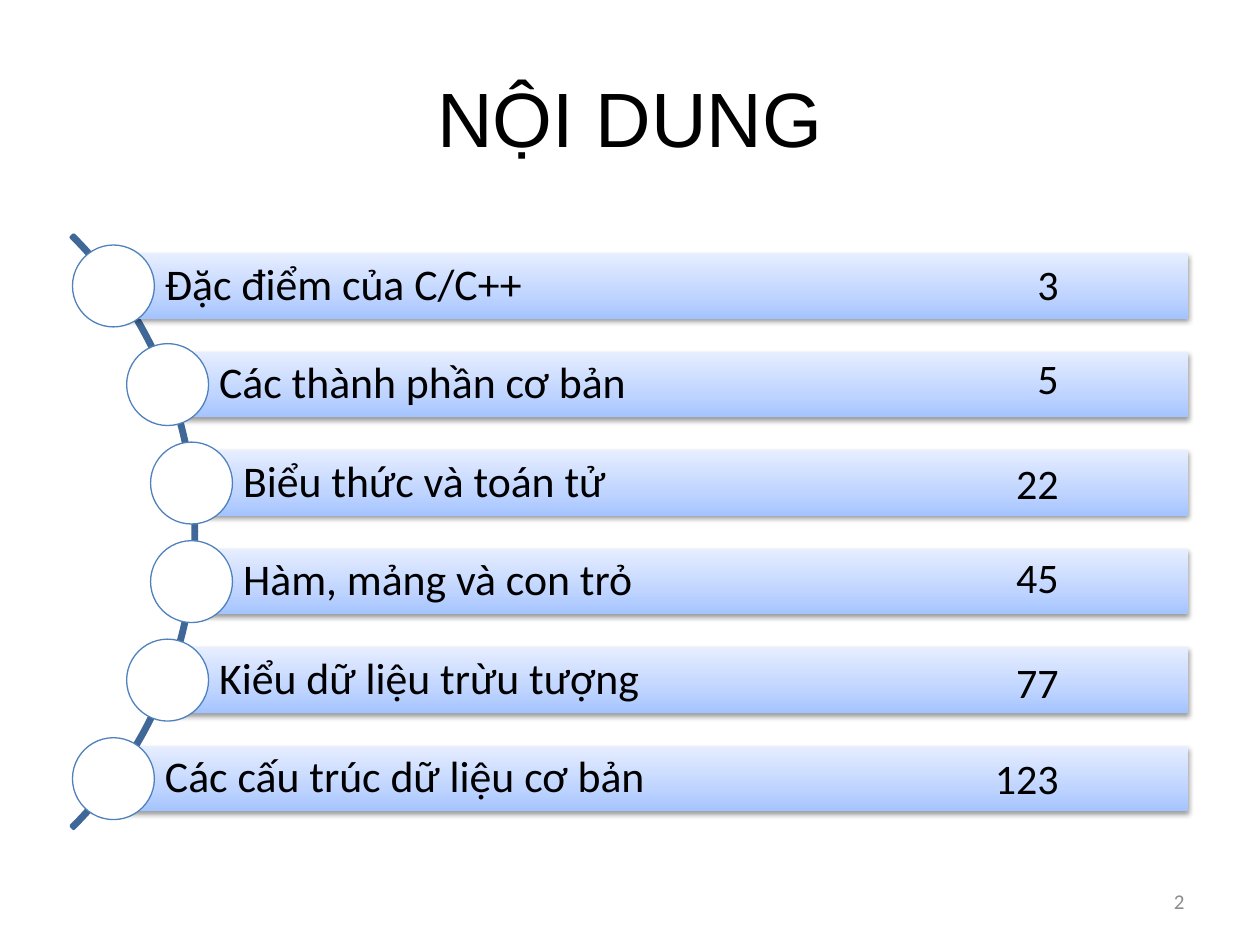
from lxml import etree
from pptx import Presentation
from pptx.dml.color import RGBColor
from pptx.enum import shapes, text
from pptx.oxml import ns, parse_xml
from pptx.util import Inches, Pt

BLACK = RGBColor(0, 0, 0)
WHITE = RGBColor(255, 255, 255)
GREY = RGBColor(0x8C, 0x8C, 0x8C)
BLUE = RGBColor(0x4F, 0x81, 0xBD)
NAVY = RGBColor(0x3F, 0x67, 0x97)
SHADE = [(0, RGBColor(0xA4, 0xC4, 0xFF)), (35, RGBColor(0xBF, 0xD4, 0xFF)),
         (100, RGBColor(0xE6, 0xEE, 0xFF))]

SHAPE = shapes.MSO_SHAPE
LEFT, MID, RIGHT = text.PP_ALIGN.LEFT, text.PP_ALIGN.CENTER, text.PP_ALIGN.RIGHT

# Topic, page, left edge of the bar, top of the page number
TOPICS = [
    ("Đặc điểm của C/C++", "3", 0.9, 2),
    ("Các thành phần cơ bản", "5", 1.33, 2.75),
    ("Biểu thức và toán tử", "22", 1.52, 3.58),
    ("Hàm, mảng và con trỏ", "45", 1.52, 4.33),
    ("Kiểu dữ liệu trừu tượng", "77", 1.33, 5.16),
    ("Các cấu trúc dữ liệu cơ bản", "123", 0.9, 5.92),
]


def write(shape, words, size, align, color=BLACK, font="Calibri"):
    frame = shape.text_frame
    frame.text = words
    frame.word_wrap = True
    para = frame.paragraphs[0]
    para.alignment = align
    style = {"size": Pt(size), "name": font}
    for key, value in style.items():
        setattr(para.runs[0].font, key, value)
    para.runs[0].font.color.rgb = color
    return frame


def draw(slide, kind, x, y, w, h):
    shape = slide.shapes.add_shape(kind, *map(Inches, (x, y, w, h)))
    shape.shadow.inherit = False
    return shape


def label(slide, box, words, size, color=BLACK):
    shape = slide.shapes.add_textbox(*map(Inches, box))
    return write(shape, words, size, RIGHT, color)


def shade(bar):
    """Give the bar its three-stop gradient and soft drop shadow."""
    bar.fill.gradient()
    bar.fill.gradient_angle = 90
    props = bar.fill._xPr
    stops = props.find(".//" + ns.qn("a:gsLst"))
    for stop in list(stops):
        stops.remove(stop)
    for pos, color in SHADE:
        stop = etree.SubElement(stops, ns.qn("a:gs"), pos=str(pos * 1000))
        etree.SubElement(stop, ns.qn("a:srgbClr"), val=str(color))
    effect = props.find(ns.qn("a:effectLst"))
    effect.append(parse_xml(
        f'<a:outerShdw {ns.nsdecls("a")} blurRad="{Pt(3.1)}" dist="{Pt(1.6)}" '
        'dir="5400000" rotWithShape="0"><a:srgbClr val="000000">'
        '<a:alpha val="38000"/></a:srgbClr></a:outerShdw>'))


def title(slide, x, y, w, h):
    shape = slide.shapes.title
    place = {"left": x, "top": y, "width": w, "height": h}
    for key, value in place.items():
        setattr(shape, key, Inches(value))
    frame = write(shape, "NỘI DUNG", 44, MID, font="Arial")
    frame.vertical_anchor = text.MSO_ANCHOR.MIDDLE


def curve(slide, x, y, size):
    arc = draw(slide, SHAPE.BLOCK_ARC, x, y, size, size)
    for i, value in enumerate((189, 27, 0.004)):
        arc.adjustments[i] = value
    arc.fill.background()
    arc.line.color.rgb = NAVY
    arc.line.width = Pt(2)


def row(slide, words, x, y, w, h):
    """Draw one bar with its topic and a circle over its left end."""
    bar = draw(slide, SHAPE.RECTANGLE, x, y, w, h)
    shade(bar)
    bar.line.fill.background()
    frame = write(bar, words, 25, LEFT)
    frame.paragraphs[0].line_spacing = 0.9
    frame.vertical_anchor = text.MSO_ANCHOR.MIDDLE
    pads = {"left": 0.41, "top": 0.07, "right": 0.07, "bottom": 0.07}
    for side, pad in pads.items():
        setattr(frame, "margin_" + side, Inches(pad))

    size = h * 1.25
    dot = draw(slide, SHAPE.OVAL, x - size / 2, y + (h - size) / 2, size, size)
    dot.fill.solid()
    dot.fill.fore_color.rgb = WHITE
    dot.line.color.rgb = BLUE
    dot.line.width = Pt(0.75)


def agenda(slide, y, right, h, bar):
    """Spread the topics evenly over the height h, then add their pages."""
    step = (h - bar) / (len(TOPICS) - 1)
    for i, (words, _, x, _) in enumerate(TOPICS):
        row(slide, words, x, y + i * step, right - x, bar)
    for _, page, _, top in TOPICS:
        frame = label(slide, (right - 1.85, top, 0.92, 0.5), page, 24)
        frame.auto_size = text.MSO_AUTO_SIZE.SHAPE_TO_FIT_TEXT


def main():
    deck = Presentation()
    deck.slide_width, deck.slide_height = Inches(10), Inches(7.5)
    slide = deck.slides.add_slide(deck.slide_layouts[5])
    title(slide, 0.5, 0.3, 9, 1.25)
    curve(slide, -5.1, 0.89, 6.66)
    agenda(slide, 2.01, 9.43, 4.43, 0.52)
    foot = label(slide, (7.17, 6.95, 2.33, 0.4), "2", 12, GREY)
    foot.vertical_anchor = text.MSO_ANCHOR.MIDDLE
    deck.save("out.pptx")


if __name__ == "__main__":
    main()
